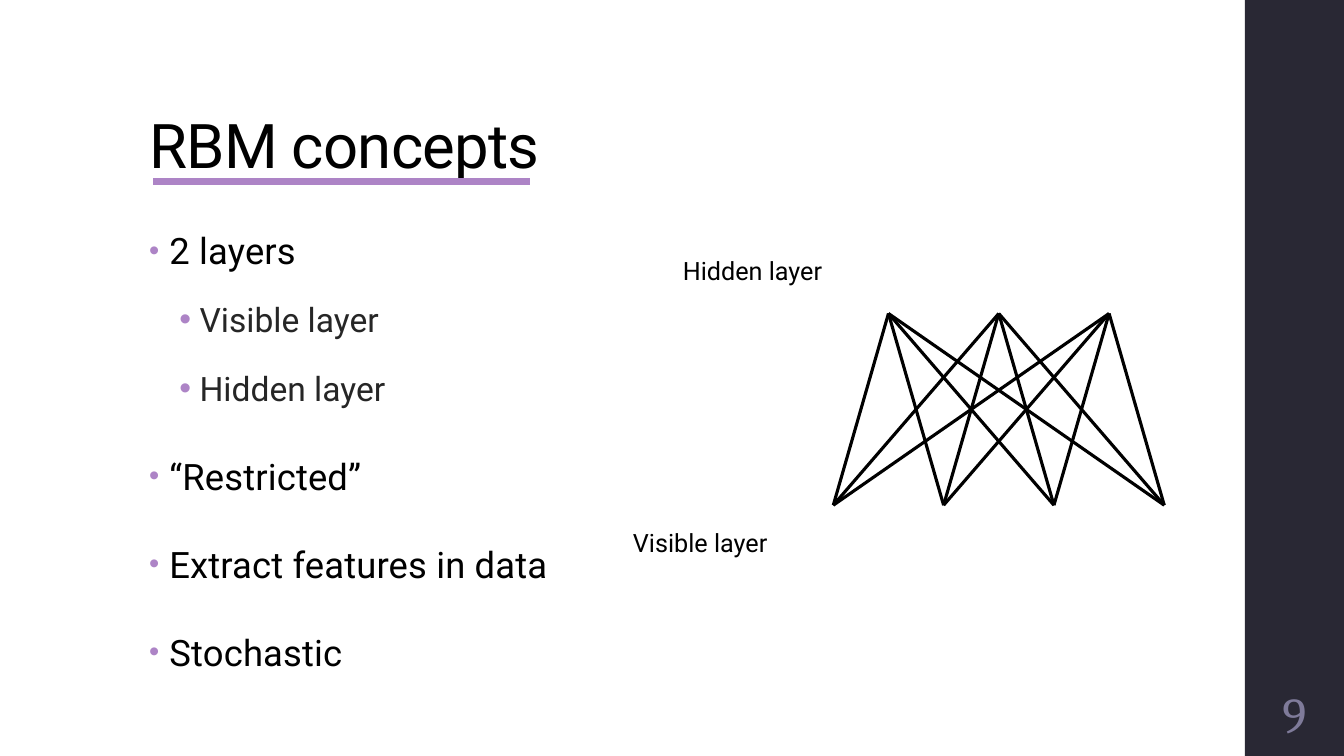
"""Build the slide on the two layers of an RBM."""
import pptx
import pptx.dml.color
import pptx.enum.shapes
import pptx.enum.text
import pptx.oxml
import pptx.oxml.ns
import pptx.util
import lxml.etree

Cm, Pt = pptx.util.Cm, pptx.util.Pt
Align = pptx.enum.text.PP_ALIGN
Anchor = pptx.enum.text.MSO_ANCHOR

BLACK, GREY, LILAC, DARK, MUTED = "000000", "262626", "AD84C6", "292834", "7F7B9A"
TITLE = "RBM concepts"
POINTS = [
    (0, "2 layers"),
    (1, "Visible layer"),
    (1, "Hidden layer"),
    (0, "“Restricted”"),
    (0, "Extract features in data"),
    (0, "Stochastic"),
]
LEVELS = [
    dict(size=26, color=BLACK, track=10, left=0.51, before=14, after=2, dot=80),
    dict(size=24, color=GREY, track=0, left=1.27, before=3, after=3, dot=100),
]
LABELS = [("Hidden layer", 16.59, 6.32), ("Visible layer", 15.27, 13.16)]
PAGE = "9"

WIDE, HIGH, BAR = 33.87, 19.05, 31.37
HANG = 0.51
STEP, LOW, TOP = 2.78, 12.73, 7.9
SEEN = [21 + STEP * i for i in range(4)]
HIDDEN = [21 + STEP * (i + 0.5) for i in range(3)]


def paint(color):
    return pptx.dml.color.RGBColor.from_string(color)


def add_box(x, y, w, h, anchor=Anchor.TOP):
    frame = slide.shapes.add_textbox(Cm(x), Cm(y), Cm(w), Cm(h)).text_frame
    frame.word_wrap = True
    frame.vertical_anchor = anchor
    return frame


def add_run(para, text, size, color, face="Roboto", track=0):
    run = para.add_run()
    run.text = text
    run.font.size = Pt(size)
    run.font.name = face
    run.font.color.rgb = paint(color)
    if track:
        run._r.get_or_add_rPr().set("spc", str(track))


def add_line(x1, y1, x2, y2, color, width):
    kind = pptx.enum.shapes.MSO_CONNECTOR.STRAIGHT
    line = slide.shapes.add_connector(kind, Cm(x1), Cm(y1), Cm(x2), Cm(y2))
    line.line.color.rgb = paint(color)
    line.line.width = Pt(width)
    tag = pptx.oxml.ns.qn("a:effectLst")
    lxml.etree.SubElement(line._element.spPr, tag)


def add_dot(para, left, size):
    props = para._p.get_or_add_pPr()
    props.set("marL", str(Cm(left)))
    props.set("indent", str(-Cm(HANG)))
    space = pptx.oxml.ns.nsdecls("a")
    for part in (
        f'<a:buClr {space}><a:srgbClr val="{LILAC}"/></a:buClr>',
        f'<a:buSzPct {space} val="{size * 1000}"/>',
        f'<a:buFont {space} typeface="Arial"/>',
        f'<a:buChar {space} char="•"/>',
    ):
        props.append(pptx.oxml.parse_xml(part))


deck = pptx.Presentation()
deck.slide_width, deck.slide_height = Cm(WIDE), Cm(HIGH)
slide = deck.slides.add_slide(deck.slide_layouts[6])

rect = pptx.enum.shapes.MSO_SHAPE.RECTANGLE
band = slide.shapes.add_shape(rect, Cm(BAR), 0, Cm(WIDE - BAR), Cm(HIGH))
band.shadow.inherit = False
band.fill.solid()
band.fill.fore_color.rgb = paint(DARK)
band.line.fill.background()

para = add_box(3.51, 1.02, 26.92, 3.68, Anchor.BOTTOM).paragraphs[0]
para.line_spacing = 0.9
add_run(para, TITLE, 44, BLACK, track=-50)

body = add_box(3.51, 5.08, 23.88, 12.09)
for i, (level, text) in enumerate(POINTS):
    look = LEVELS[level]
    para = body.add_paragraph() if i else body.paragraphs[0]
    para.level = level
    add_dot(para, look["left"], look["dot"])
    para.line_spacing = 1.5
    para.space_before = Pt(look["before"] if i else 0)
    para.space_after = Pt(look["after"])
    add_run(para, text, look["size"], look["color"], track=look["track"])

for top in HIDDEN:
    for low in SEEN:
        add_line(low, LOW, top, TOP, BLACK, 2.25)
add_line(3.86, 4.57, 13.36, 4.57, LILAC, 4.5)

for text, x, y in LABELS:
    para = add_box(x, y, 4.75, 1.02).paragraphs[0]
    para.alignment = Align.CENTER
    add_run(para, text, 18, BLACK)

frame = add_box(BAR, 17.15, WIDE - BAR, 1.65, Anchor.MIDDLE)
frame.margin_left = frame.margin_right = Cm(0.13)
para = frame.paragraphs[0]
para.alignment = Align.CENTER
add_run(para, PAGE, 36, MUTED, "Cambria")

deck.save("out.pptx")
